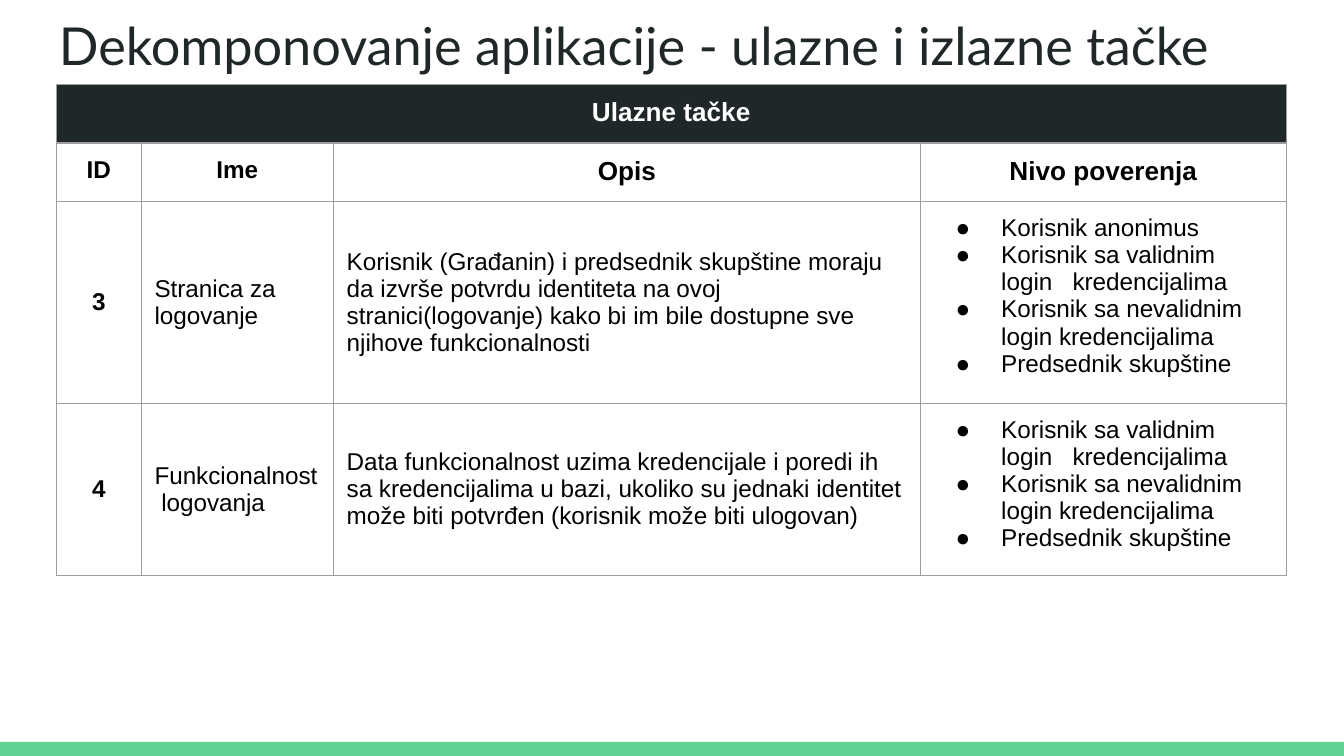
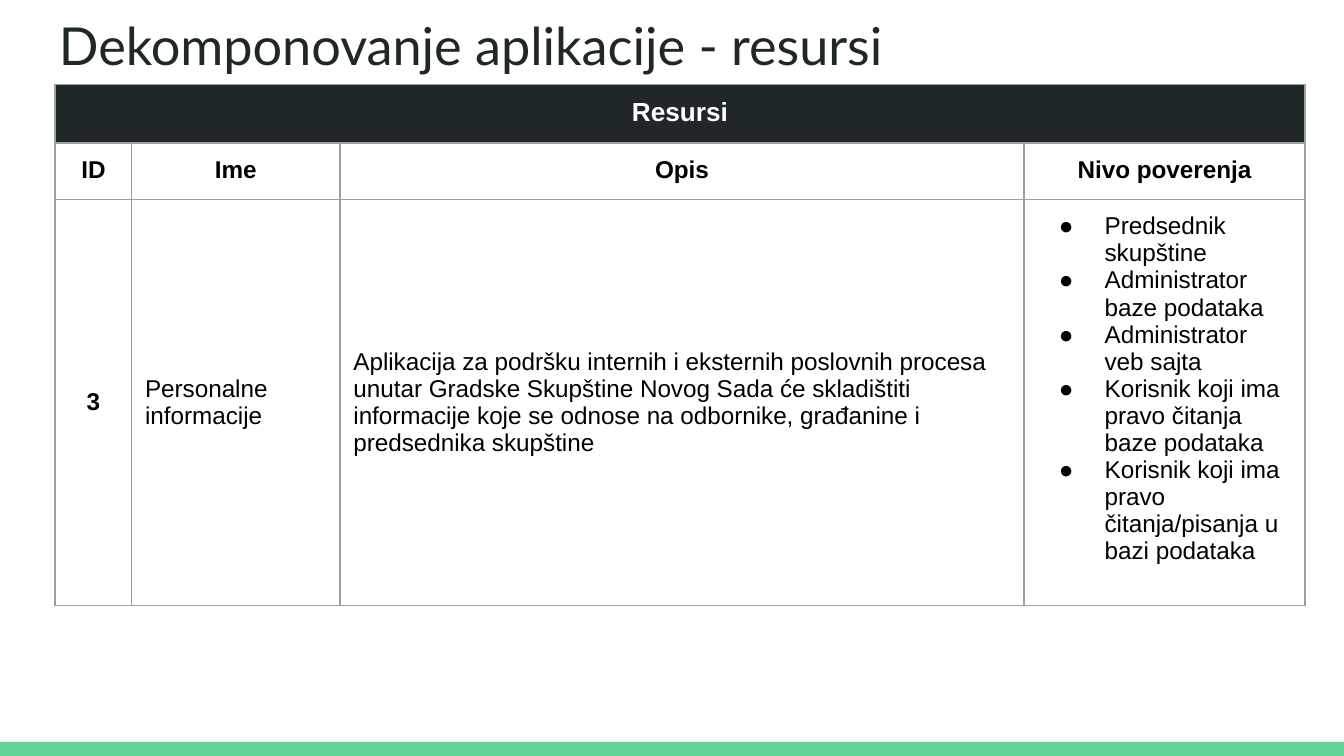
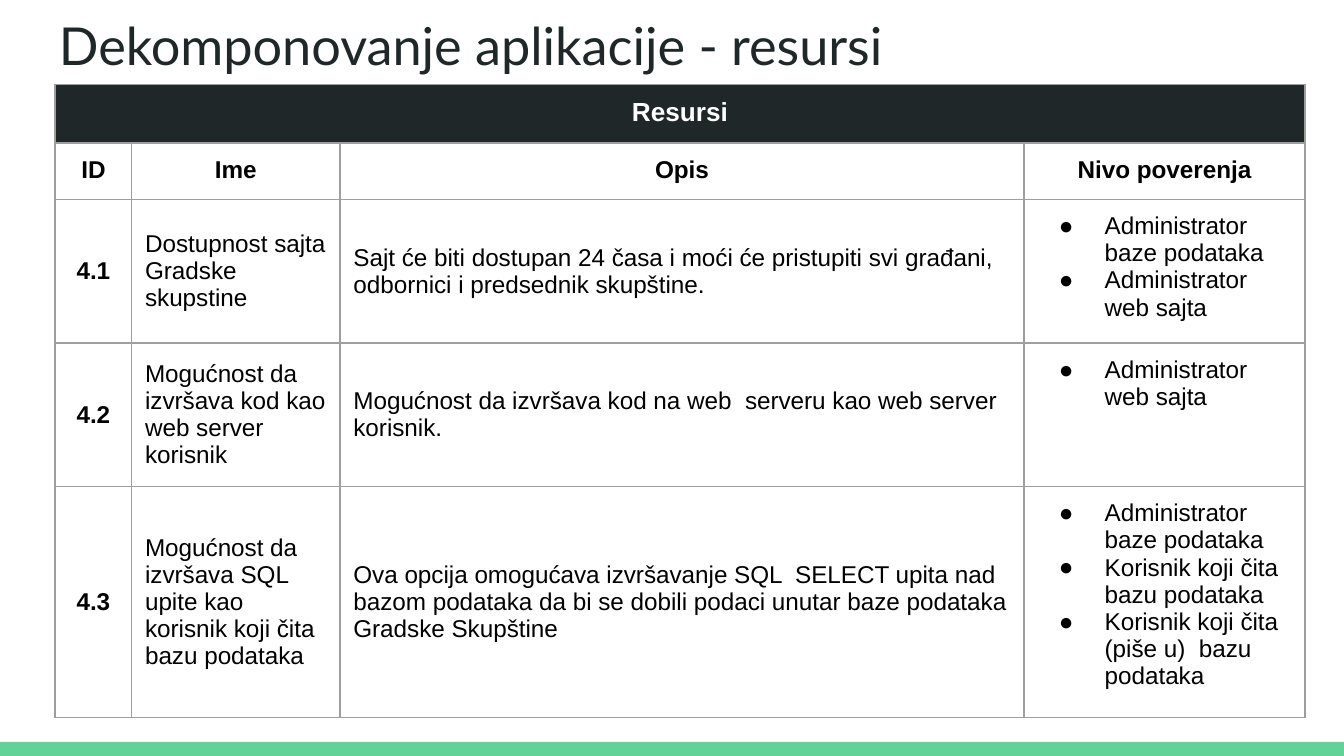
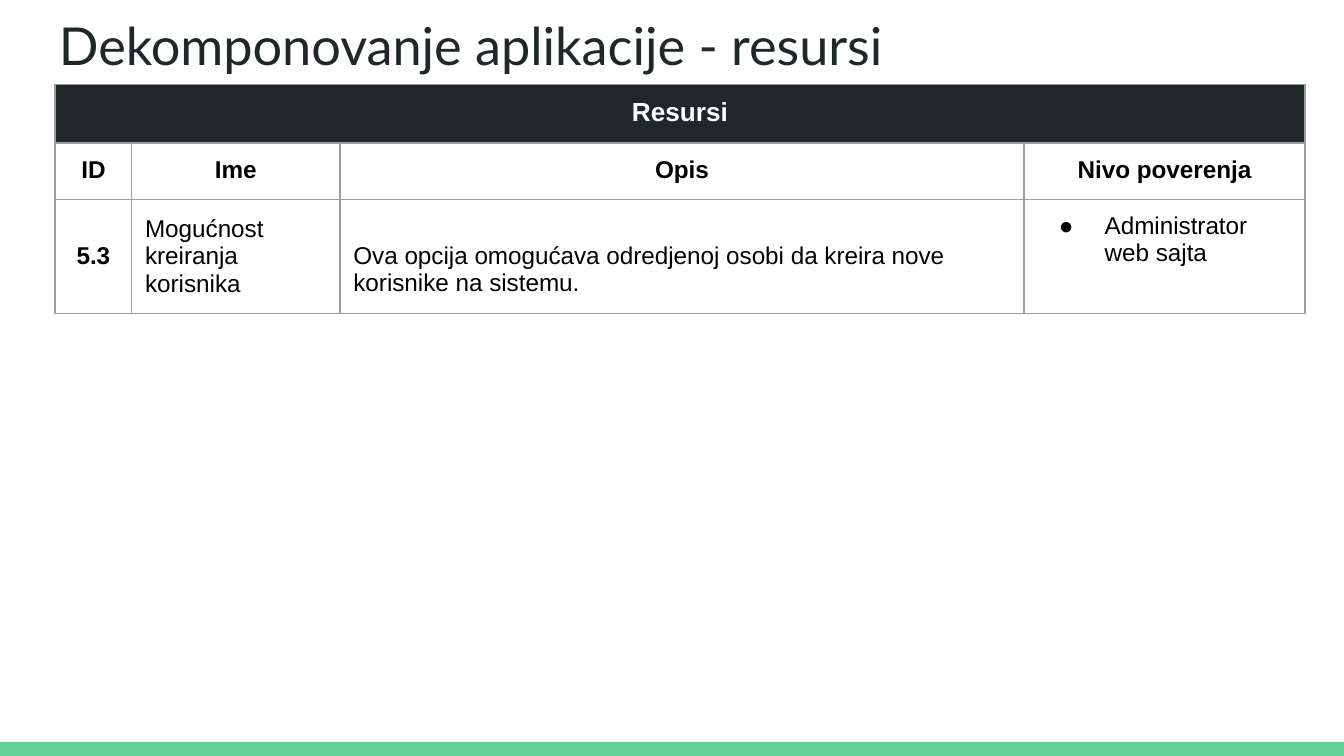
import lxml.etree
import pptx
import pptx.dml.color
import pptx.enum.shapes
import pptx.enum.text
import pptx.oxml.ns
import pptx.util

Inches = pptx.util.Inches
Pt = pptx.util.Pt
RGBColor = pptx.dml.color.RGBColor
ALIGN = pptx.enum.text.PP_ALIGN
ANCHOR = pptx.enum.text.MSO_ANCHOR
qn = pptx.oxml.ns.qn

DARK = RGBColor(0x20, 0x27, 0x29)
GREEN = RGBColor(0x63, 0xD2, 0x97)
GREY = RGBColor(0x9E, 0x9E, 0x9E)
BLACK = RGBColor(0x00, 0x00, 0x00)
WHITE = RGBColor(0xFF, 0xFF, 0xFF)

BODY_FONT, TITLE_FONT = "Arial", "Lato"
SLIDE_WIDTH = 10
SLIDE_HEIGHT = SLIDE_WIDTH * 9 / 16
TABLE_TOP = 0.63
HEADINGS = ["ID", "Ime", "Opis", "Nivo poverenja"]

ENTRY_POINTS = [
    ("3", "Stranica za logovanje",
     "Korisnik (Građanin) i predsednik skupštine moraju da izvrše potvrdu identiteta na ovoj "
     "stranici(logovanje) kako bi im bile dostupne sve njihove funkcionalnosti",
     ["Korisnik anonimus",
      "Korisnik sa validnim  login   kredencijalima",
      "Korisnik sa nevalidnim login kredencijalima",
      "Predsednik skupštine"]),
    ("4", "Funkcionalnost  logovanja",
     "Data funkcionalnost uzima kredencijale i poredi ih sa kredencijalima u bazi, ukoliko su "
     "jednaki identitet može biti potvrđen (korisnik može biti ulogovan)",
     ["Korisnik sa validnim  login   kredencijalima",
      "Korisnik sa nevalidnim login kredencijalima",
      "Predsednik skupštine"]),
]
PERSONAL_DATA = [
    ("3", "Personalne informacije",
     "Aplikacija za podršku internih i eksternih poslovnih procesa unutar Gradske Skupštine "
     "Novog Sada će skladištiti informacije koje se odnose na odbornike, građanine i "
     "predsednika skupštine",
     ["Predsednik skupštine",
      "Administrator baze podataka",
      "Administrator veb sajta",
      "Korisnik koji ima pravo čitanja baze podataka",
      "Korisnik koji ima pravo čitanja/pisanja u bazi podataka"]),
]
SITE_RESOURCES = [
    ("4.1", "Dostupnost sajta Gradske skupstine",
     "Sajt će biti dostupan 24 časa i moći će pristupiti svi građani, odbornici i predsednik "
     "skupštine.",
     ["Administrator baze podataka", "Administrator web sajta"]),
    ("4.2", "Mogućnost da izvršava kod kao web server korisnik",
     "Mogućnost da izvršava kod na web  serveru kao web server korisnik.",
     ["Administrator web sajta"]),
    ("4.3", "Mogućnost da izvršava SQL upite kao korisnik koji čita bazu podataka",
     "Ova opcija omogućava izvršavanje SQL  SELECT upita nad bazom podataka da bi se dobili "
     "podaci unutar baze podataka Gradske Skupštine",
     ["Administrator baze podataka",
      "Korisnik koji čita bazu podataka",
      "Korisnik koji čita (piše u)  bazu podataka"]),
]
USER_CREATION = [
    ("5.3", "Mogućnost kreiranja korisnika",
     "Ova opcija omogućava odredjenoj osobi da kreira nove korisnike na sistemu.",
     ["Administrator web sajta"]),
]


class ThreatDeck:
    """Holds the deck's style and the slide being filled."""

    def __init__(self):
        self.deck = pptx.Presentation()
        self.deck.slide_width = Inches(SLIDE_WIDTH)
        self.deck.slide_height = Inches(SLIDE_HEIGHT)
        self.slide = None
        self.set_default_font()

    def set_default_font(self):
        """Row heights follow the default font, so it must match the body font."""
        for root in (self.deck.element, self.deck.slide_master.element):
            for tag in ("a:latin", "a:ea", "a:cs"):
                for font in root.iter(qn(tag)):
                    font.set("typeface", BODY_FONT)

    def add_slide(self, title):
        self.slide = self.deck.slides.add_slide(self.deck.slide_layouts[6])
        self.add_band()
        self.add_title(title)

    def add_band(self):
        band = self.slide.shapes.add_shape(
            pptx.enum.shapes.MSO_SHAPE.RECTANGLE,
            Inches(0), Inches(5.52), Inches(SLIDE_WIDTH), Inches(0.11))
        band.shadow.inherit = False
        band.fill.solid()
        band.fill.fore_color.rgb = GREEN
        band.line.fill.background()

    def add_title(self, text):
        box = self.slide.shapes.add_textbox(Inches(0.34), Inches(0), Inches(9.32), Inches(0.63))
        frame = box.text_frame
        frame.word_wrap = True
        self.set_margins(frame)
        frame.text = text
        self.format_spans(frame.paragraphs[0], 28, DARK, font=TITLE_FONT)

    def add_table(self, heading, rows, left, widths, heights, title_sizes=(13, 13, 13, 13)):
        """Add a table with a merged heading row; the last height serves every body row."""
        frame = self.slide.shapes.add_table(
            len(rows) + 2, len(widths), Inches(left), Inches(TABLE_TOP),
            Inches(sum(widths)), Inches(sum(heights[:2]) + heights[2] * len(rows)))
        table = frame.table
        table.first_row = table.horz_banding = False
        properties = table._tbl.tblPr
        properties.remove(properties.find(qn("a:tableStyleId")))
        for column, width in zip(table.columns, widths):
            column.width = Inches(width)
        for index, row in enumerate(table.rows):
            row.height = Inches(heights[min(index, 2)])
        for cell in table.iter_cells():
            self.style_cell(cell)

        banner = table.cell(0, 0)
        banner.merge(table.cell(0, len(widths) - 1))
        banner.fill.solid()
        banner.fill.fore_color.rgb = DARK
        self.fill_cell(banner, [heading], 14, WHITE, bold=True, align=ALIGN.CENTER)
        for column, (text, size) in enumerate(zip(HEADINGS, title_sizes)):
            self.fill_cell(table.cell(1, column), [text], size, bold=True, align=ALIGN.CENTER)
        for index, (number, name, description, levels) in enumerate(rows, start=2):
            self.fill_cell(table.cell(index, 0), [number], bold=True, align=ALIGN.CENTER)
            self.fill_cell(table.cell(index, 1), [name])
            self.fill_cell(table.cell(index, 2), [description])
            for column in range(3):
                table.cell(index, column).vertical_anchor = ANCHOR.MIDDLE
            self.fill_cell(table.cell(index, 3), levels, bullets=True)
        return table

    def style_cell(self, cell):
        self.set_margins(cell)
        properties = cell._tc.get_or_add_tcPr()
        for side in ("a:lnL", "a:lnR", "a:lnT", "a:lnB"):
            line = lxml.etree.SubElement(properties, qn(side), w=str(Pt(0.75)))
            fill = lxml.etree.SubElement(line, qn("a:solidFill"))
            lxml.etree.SubElement(fill, qn("a:srgbClr"), val=str(GREY))
        cell.fill.background()

    def fill_cell(self, cell, lines, size=13, color=BLACK, bold=False,
                  align=ALIGN.LEFT, bullets=False):
        cell.text_frame.text = "\n".join(lines)
        for para in cell.text_frame.paragraphs:
            para.alignment = align
            self.format_spans(para, size, color, bold)
            if bullets:
                self.add_bullet(para, size)

    def add_bullet(self, para, size):
        properties = para._p.get_or_add_pPr()
        properties.set("marL", str(Inches(0.5)))
        properties.set("indent", str(Inches(-0.34)))
        lxml.etree.SubElement(properties, qn("a:buSzPts"), val=str(size * 100))
        lxml.etree.SubElement(properties, qn("a:buFont"), typeface=BODY_FONT)
        lxml.etree.SubElement(properties, qn("a:buChar"), char="●")

    def format_spans(self, para, size, color, bold=False, font=BODY_FONT):
        for span in para.runs:
            span.font.name = font
            span.font.size = Pt(size)
            span.font.bold = bold
            span.font.color.rgb = color

    def set_margins(self, holder):
        holder.margin_left = holder.margin_right = Inches(0.1)
        holder.margin_top = holder.margin_bottom = Inches(0.1)


def main():
    threats = ThreatDeck()
    threats.add_slide("Dekomponovanje aplikacije - ulazne i izlazne tačke")
    threats.add_table("Ulazne tačke", ENTRY_POINTS, 0.42, [0.63, 1.43, 4.37, 2.72],
                      [0.42, 0.42, 1.05], title_sizes=(13, 13, 14, 14))

    for rows in (PERSONAL_DATA, SITE_RESOURCES, USER_CREATION):
        threats.add_slide("Dekomponovanje aplikacije - resursi")
        table = threats.add_table("Resursi", rows, 0.41, [0.57, 1.55, 5.09, 2.09],
                                  [0.43, 0.42, 0.42])
    # The last description sits one line lower than the middle.
    table.cell(2, 2).margin_top = Inches(0.3)

    threats.deck.save("out.pptx")


if __name__ == "__main__":
    main()
